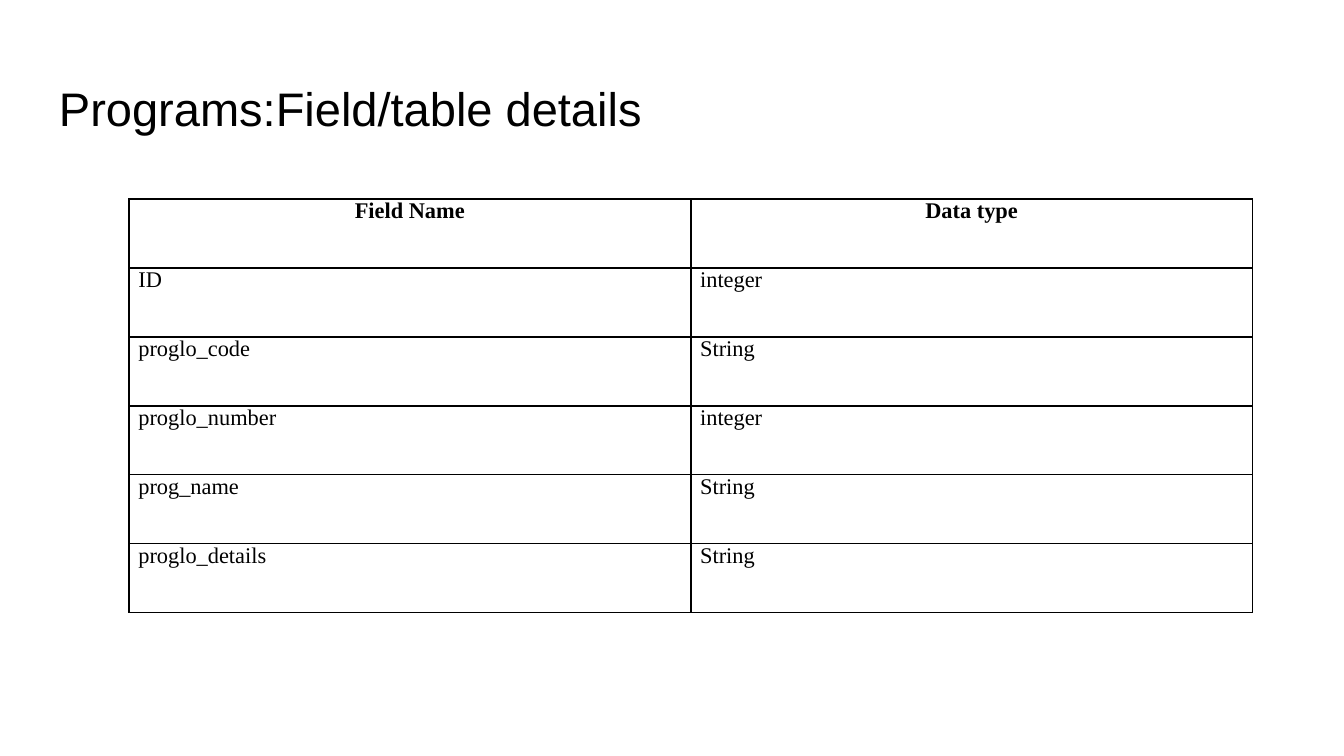
from pptx import Presentation
from pptx.dml.color import RGBColor
from pptx.enum.text import MSO_ANCHOR, PP_ALIGN
from pptx.oxml.ns import qn
from pptx.util import Inches, Pt
from lxml.etree import SubElement

COLORS = {"ink": "000000", "paper": "FFFFFF"}
FIELDS = [
    ("Field Name", "Data type"),
    ("ID", "integer"),
    ("proglo_code", "String"),
    ("proglo_number", "integer"),
    ("prog_name", "String"),
    ("proglo_details", "String"),
]


def add_span(para, text, font, size, bold=False):
    span = para.add_run()
    span.text = text
    span.font.name = font
    span.font.size = Pt(size)
    span.font.bold = bold
    span.font.color.rgb = RGBColor.from_string(COLORS["ink"])


def add_title(page, left, top, width, height):
    box = page.shapes.add_textbox(Inches(left), Inches(top), Inches(width), Inches(height))
    frame = box.text_frame
    frame.word_wrap = True
    frame.vertical_anchor = MSO_ANCHOR.MIDDLE
    frame.margin_left = frame.margin_right = Inches(0.1)
    frame.margin_top = frame.margin_bottom = Inches(0.1)
    add_span(frame.paragraphs[0], "Programs:Field/table details", "Arial", 25.2)


def add_borders(cell, width):
    properties = cell._tc.get_or_add_tcPr()
    for position, side in enumerate(("lnL", "lnR", "lnT", "lnB")):
        line = properties.makeelement(qn(f"a:{side}"), {"w": str(Pt(width))})
        fill = SubElement(line, qn("a:solidFill"))
        SubElement(fill, qn("a:srgbClr"), val=COLORS["ink"])
        properties.insert(position, line)


def add_field_table(page, left, top, width, height):
    frame = page.shapes.add_table(len(FIELDS), len(FIELDS[0]), Inches(left), Inches(top),
                                  Inches(width), Inches(height))
    table = frame.table
    table.horz_banding = False
    for row, values in enumerate(FIELDS):
        is_header = row == 0
        for column, value in enumerate(values):
            cell = table.cell(row, column)
            cell.margin_left = cell.margin_right = Inches(0.07)
            cell.margin_top = cell.margin_bottom = 0
            cell.fill.solid()
            cell.fill.fore_color.rgb = RGBColor.from_string(COLORS["paper"])
            add_borders(cell, 1)
            para = cell.text_frame.paragraphs[0]
            para.alignment = PP_ALIGN.CENTER if is_header else PP_ALIGN.LEFT
            add_span(para, value, "Times New Roman", 12, is_header)


def main():
    deck = Presentation()
    deck.slide_width = Inches(10)
    deck.slide_height = deck.slide_width * 9 // 16
    page = deck.slides.add_slide(deck.slide_layouts[6])
    add_title(page, 0.34, 0.49, 9.32, 0.63)
    add_field_table(page, 0.96, 1.48, 8.36, 3.08)
    deck.save("out.pptx")


if __name__ == "__main__":
    main()
